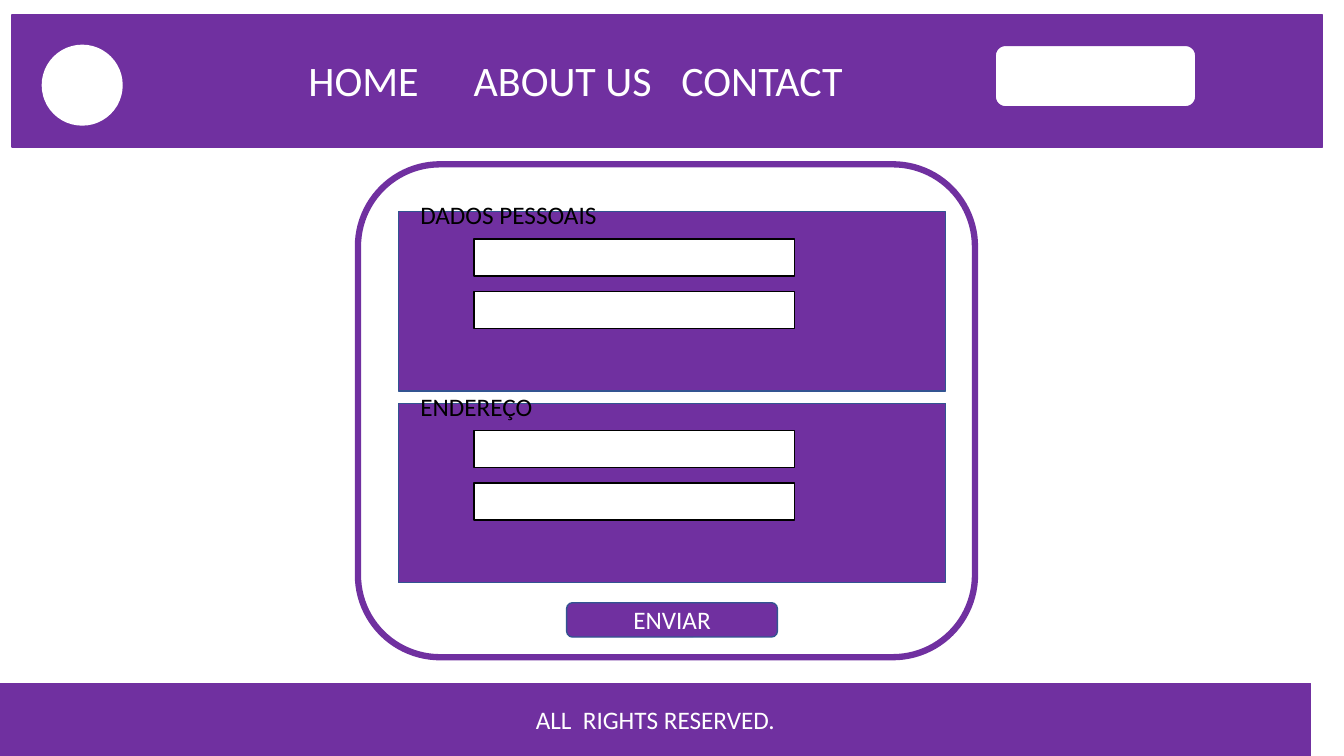
from dataclasses import dataclass

from pptx import Presentation
from pptx.dml.color import RGBColor
from pptx.enum.shapes import MSO_SHAPE as Shape
from pptx.enum.text import MSO_ANCHOR as Anchor, MSO_AUTO_SIZE as AutoSize, PP_ALIGN as Align
from pptx.util import Inches, Pt

# Menu entries: label, left, width
MENU = [("HOME", 2.96, 1.31), ("ABOUT US", 4.6, 1.99), ("CONTACT", 6.66, 1.82)]
# Form sections: legend, legend width
SECTIONS = [("DADOS PESSOAIS", 1.97), ("ENDEREÇO", 1.32)]
SUBMIT = "ENVIAR"
FOOTER = "ALL  RIGHTS RESERVED."

SLIDE_WIDTH, SLIDE_HEIGHT = 13.33, 7.5
BAR_WIDTH, FOOTER_HEIGHT = 13, 0.72
MENU_TOP = 0.49
SECTION_LEFT, SECTION_TOP, SECTION_PITCH = 3.95, 2.1, 1.9
SECTION_WIDTH, SECTION_HEIGHT = 5.43, 1.78
FIELDS_PER_SECTION, FIELD_PITCH = 2, 0.52


@dataclass(frozen=True)
class Theme:
    font: str = "Calibri"
    purple: str = "7030A0"
    white: str = "FFFFFF"
    black: str = "000000"
    edge: str = "325491"
    menu_size: int = 30
    text_size: int = 18
    thin: float = 1
    thick: float = 4.5


THEME = Theme()


def style_text(frame, text, size, color):
    frame.text = text
    font = frame.paragraphs[0].runs[0].font
    font.name, font.size = THEME.font, Pt(size)
    font.color.rgb = RGBColor.from_string(color)


def add_block(page, kind, bounds, fill, line, text=None, weight=THEME.thin):
    """Add a preset shape; a fill of None leaves it hollow."""
    block = page.shapes.add_shape(kind, *map(Inches, bounds))
    block.shadow.inherit = False
    if fill is None:
        block.fill.background()
    else:
        block.fill.solid()
        block.fill.fore_color.rgb = RGBColor.from_string(fill)
    block.line.color.rgb = RGBColor.from_string(line)
    block.line.width = Pt(weight)
    if text:
        style_text(block.text_frame, text, THEME.text_size, THEME.white)
        block.text_frame.vertical_anchor = Anchor.MIDDLE
        block.text_frame.paragraphs[0].alignment = Align.CENTER


def add_label(page, text, bounds, size, color):
    frame = page.shapes.add_textbox(*map(Inches, bounds)).text_frame
    frame.word_wrap = False
    frame.auto_size = AutoSize.SHAPE_TO_FIT_TEXT
    style_text(frame, text, size, color)


def add_section(page, index, legend, legend_width):
    top = SECTION_TOP + index * SECTION_PITCH
    panel = (SECTION_LEFT, top, SECTION_WIDTH, SECTION_HEIGHT)
    add_block(page, Shape.RECTANGLE, panel, THEME.purple, THEME.edge)
    add_label(page, legend, (SECTION_LEFT + 0.12, top - 0.17, legend_width, 0.4),
              THEME.text_size, THEME.black)
    for row in range(FIELDS_PER_SECTION):
        field = (SECTION_LEFT + 0.75, top + 0.27 + row * FIELD_PITCH, 3.18, 0.37)
        add_block(page, Shape.RECTANGLE, field, THEME.white, THEME.black)


def main():
    deck = Presentation()
    deck.slide_width, deck.slide_height = Inches(SLIDE_WIDTH), Inches(SLIDE_HEIGHT)
    page = deck.slides.add_slide(deck.slide_layouts[6])

    header = (0.12, 0.15, BAR_WIDTH, 1.31)
    footer = (0, SLIDE_HEIGHT - FOOTER_HEIGHT, BAR_WIDTH, FOOTER_HEIGHT)
    add_block(page, Shape.RECTANGLE, header, THEME.purple, THEME.purple)
    add_block(page, Shape.RECTANGLE, footer, THEME.purple, THEME.purple, FOOTER)
    add_block(page, Shape.OVAL, (0.42, 0.45, 0.79, 0.79), THEME.white, THEME.white)

    for index, (legend, legend_width) in enumerate(SECTIONS):
        add_section(page, index, legend, legend_width)
    add_block(page, Shape.ROUNDED_RECTANGLE, (5.62, 5.98, 2.09, 0.34),
              THEME.purple, THEME.edge, SUBMIT)

    for label, left, width in MENU:
        add_label(page, label, (left, MENU_TOP, width, 0.61), THEME.menu_size, THEME.white)

    add_block(page, Shape.ROUNDED_RECTANGLE, (3.55, 1.63, 6.12, 4.89),
              None, THEME.purple, weight=THEME.thick)
    add_block(page, Shape.ROUNDED_RECTANGLE, (9.87, 0.45, 1.99, 0.61),
              THEME.white, THEME.purple)

    deck.save("out.pptx")


if __name__ == "__main__":
    main()
